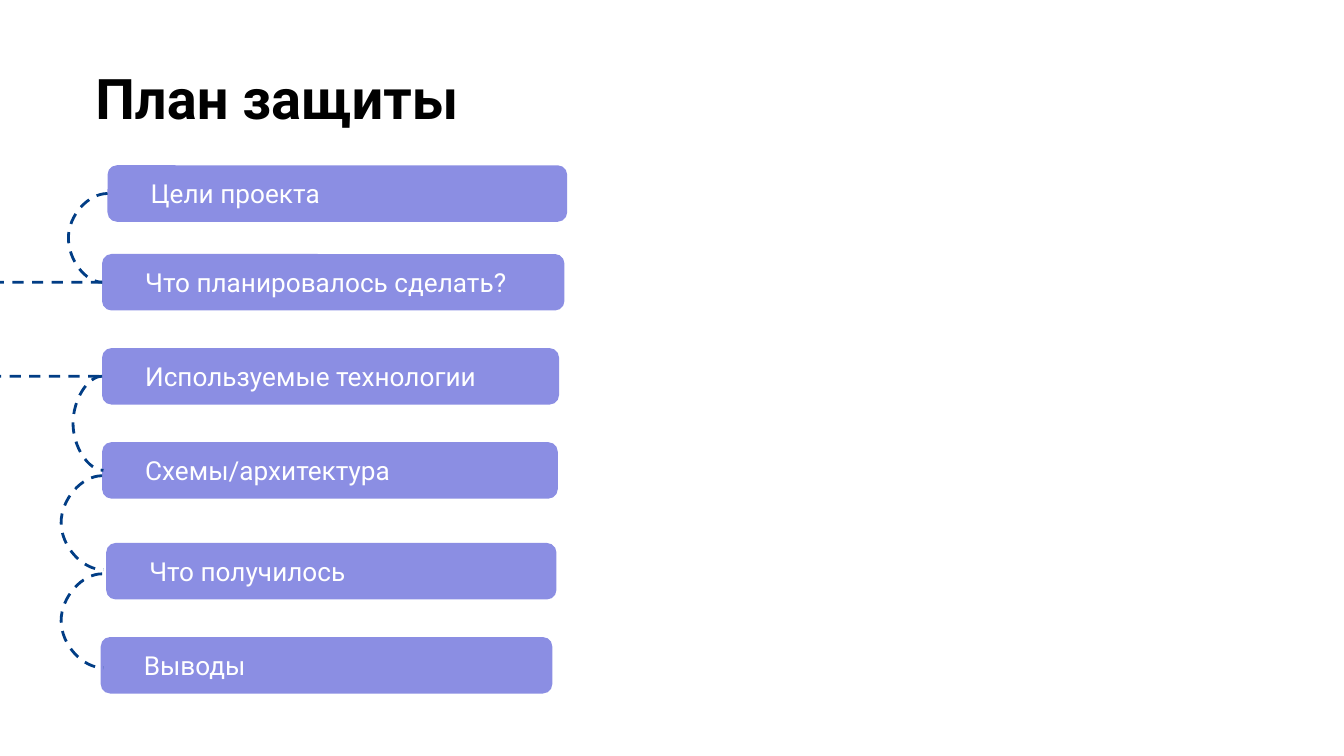
import pptx
import pptx.dml.color
import pptx.enum.dml
import pptx.enum.shapes
import pptx.enum.text
import pptx.oxml.ns
import pptx.util
from dataclasses import dataclass
from lxml import etree

Inches = pptx.util.Inches
ANCHOR = pptx.enum.text.MSO_ANCHOR


@dataclass(frozen=True)
class Theme:
    font: str = "Roboto"
    title_size: float = 30
    item_size: float = 14
    line_width: float = 1.5
    title_color: str = "000000"
    item_color: str = "FFFFFF"
    bar_color: str = "8B8EE3"
    line_color: str = "013D85"


THEME = Theme()
BAR_HEIGHT = 0.42
TIE_LEFT = 0.76

# Plan items: text, left, top, width
ITEMS = [
    ("Цели проекта", 0.8, 1.23, 3.42),
    ("Что планировалось сделать?", 0.76, 1.89, 3.44),
    ("Используемые технологии", 0.76, 2.59, 3.4),
    ("Схемы/архитектура", 0.76, 3.29, 3.39),
    ("Что получилось", 0.79, 4.04, 3.35),
    ("Выводы", 0.75, 4.74, 3.36),
]

# Ties between items: top, height, width, bulge to the left, mirrored
TIES = [
    (1.44, 0.66, 0.04, 0.25, True),
    (2.1, 0.7, 0.01, 20, False),  # runs past the slide edge
    (2.8, 0.7, 0.01, 0.22, False),
    (3.54, 0.7, 0.01, 0.31, False),
    (4.27, 0.7, 0.01, 0.31, False),
]


def rgb(value):
    return pptx.dml.color.RGBColor.from_string(value)


def write_text(shape, text, size, color, bold, anchor, side_inset):
    frame = shape.text_frame
    frame.text = text
    frame_format = {
        "word_wrap": True,
        "auto_size": pptx.enum.text.MSO_AUTO_SIZE.NONE,
        "vertical_anchor": anchor,
        "margin_left": Inches(side_inset),
        "margin_right": Inches(side_inset),
        "margin_top": Inches(0.1),
        "margin_bottom": Inches(0.1),
    }
    for name, value in frame_format.items():
        setattr(frame, name, value)
    para = frame.paragraphs[0]
    para.alignment = pptx.enum.text.PP_ALIGN.LEFT
    span = para.runs[0]
    font_format = {"name": THEME.font, "size": pptx.util.Pt(size), "bold": bold}
    for name, value in font_format.items():
        setattr(span.font, name, value)
    span.font.color.rgb = rgb(color)


def place_title(page, left, top, width, height):
    title = page.shapes.title
    box = {"left": left, "top": top, "width": width, "height": height}
    for name, value in box.items():
        setattr(title, name, Inches(value))
    write_text(title, "План защиты", THEME.title_size, THEME.title_color,
               True, ANCHOR.TOP, 0.1)


def place_item(page, text, left, top, width, height):
    bar = page.shapes.add_shape(
        pptx.enum.shapes.MSO_SHAPE.ROUNDED_RECTANGLE,
        Inches(left), Inches(top), Inches(width), Inches(height))
    bar.shadow.inherit = False
    bar.fill.solid()
    bar.fill.fore_color.rgb = rgb(THEME.bar_color)
    bar.line.fill.background()
    write_text(bar, text, THEME.item_size, THEME.item_color,
               False, ANCHOR.MIDDLE, 0.3)


def place_tie(page, left, top, width, height, bulge, mirrored):
    start, end = (top + height, top) if mirrored else (top, top + height)
    tie = page.shapes.add_connector(
        pptx.enum.shapes.MSO_CONNECTOR.CURVE,
        Inches(left), Inches(start), Inches(left + width), Inches(end))
    tie.line.color.rgb = rgb(THEME.line_color)
    tie.line.width = pptx.util.Pt(THEME.line_width)
    tie.line.dash_style = pptx.enum.dml.MSO_LINE.DASH

    # The bend is a share of the width, measured from the start point
    qn = pptx.oxml.ns.qn
    properties = tie._element.spPr
    if mirrored:
        properties.find(qn("a:xfrm")).set("rot", "10800000")
    bend = (bulge + width) / width if mirrored else -bulge / width
    guides = properties.find(qn("a:prstGeom")).find(qn("a:avLst"))
    etree.SubElement(guides, qn("a:gd"), name="adj1",
                     fmla=f"val {round(bend * 100000)}")
    etree.SubElement(properties, qn("a:effectLst"))


def build_plan_page(deck):
    page = deck.slides.add_slide(deck.slide_layouts[5])
    place_title(page, 0.61, 0.37, 7.13, 0.63)
    # Bars
    for text, left, top, width in ITEMS:
        place_item(page, text, left, top, width, BAR_HEIGHT)
    # Dashed ties
    for top, height, width, bulge, mirrored in TIES:
        place_tie(page, TIE_LEFT, top, width, height, bulge, mirrored)


def main():
    deck = pptx.Presentation()
    # Widescreen, 16:9
    deck.slide_width = Inches(10)
    deck.slide_height = deck.slide_width * 9 // 16
    build_plan_page(deck)
    deck.save("out.pptx")


if __name__ == "__main__":
    main()
